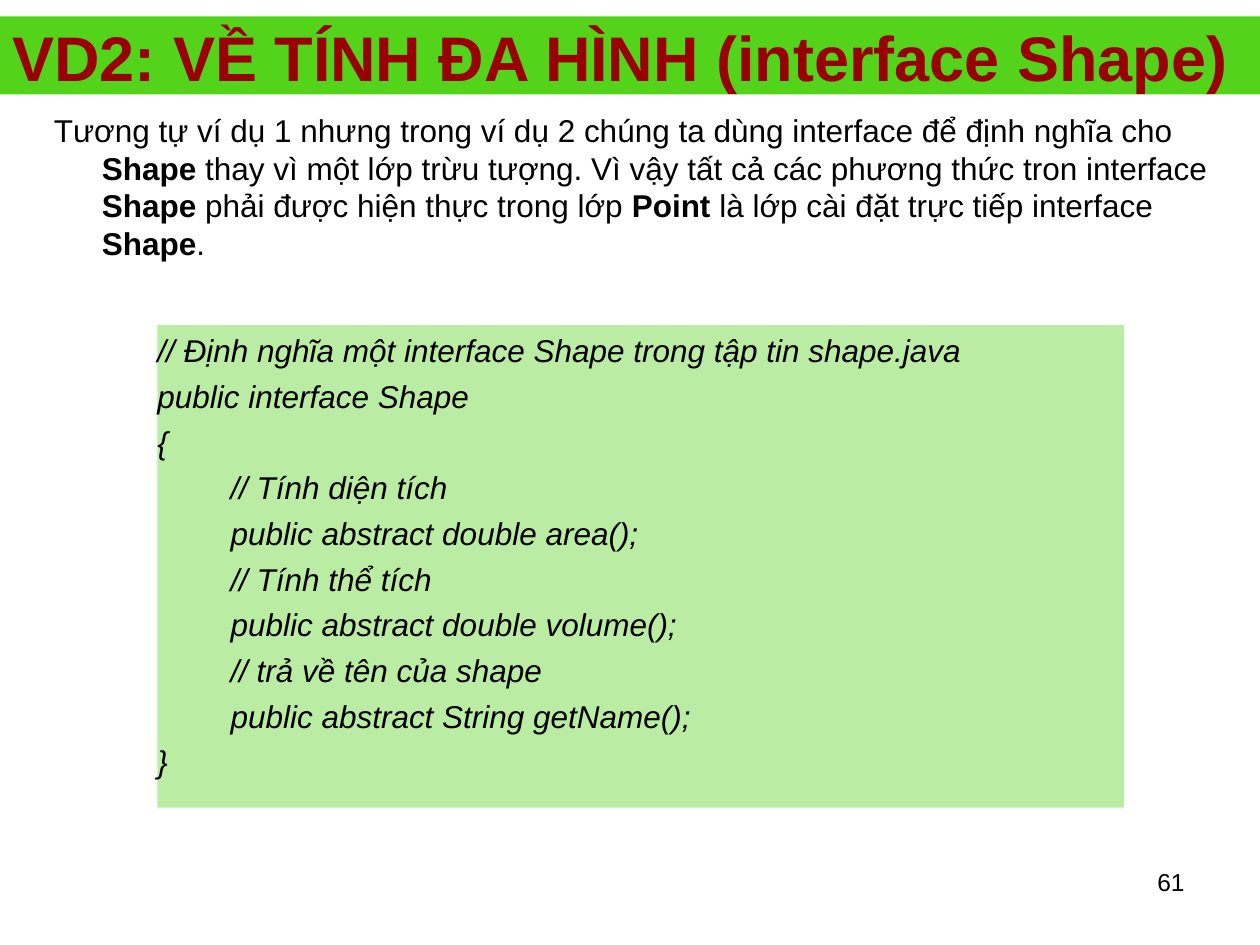
from dataclasses import dataclass

from lxml.etree import SubElement
from pptx import Presentation
from pptx.dml.color import RGBColor
from pptx.enum.shapes import MSO_SHAPE
from pptx.enum.text import MSO_ANCHOR, PP_ALIGN
from pptx.oxml.ns import qn
from pptx.util import Inches, Pt


@dataclass(frozen=True)
class Theme:
    font: str = "Arial"
    green: RGBColor = RGBColor(0x53, 0xD4, 0x1B)
    title_red: RGBColor = RGBColor(0x99, 0x00, 0x00)
    ink: RGBColor = RGBColor(0x00, 0x00, 0x00)
    title_size: int = 36
    body_size: int = 18
    number_size: int = 14
    paragraph_gap: float = 4.5


class SlideBuilder:
    def __init__(self, slide, theme):
        self.slide = slide
        self.theme = theme

    def panel(self, left, top, width, height, opacity=100):
        panel = self.slide.shapes.add_shape(
            MSO_SHAPE.RECTANGLE, Inches(left), Inches(top), Inches(width), Inches(height))
        panel.shadow.inherit = False
        panel.line.fill.background()
        panel.fill.solid()
        panel.fill.fore_color.rgb = self.theme.green
        if opacity < 100:
            color = panel._element.spPr.find(qn("a:solidFill"))[0]
            SubElement(color, qn("a:alpha"), val=str(opacity * 1000))
        return panel

    def text_box(self, left, top, width, height):
        return self.slide.shapes.add_textbox(
            Inches(left), Inches(top), Inches(width), Inches(height))

    def add_text(self, shape, paragraphs, size, color=None, align=PP_ALIGN.LEFT,
                 anchor=MSO_ANCHOR.TOP, hanging=0, italic=False):
        """Fill a shape with paragraphs, each a list of (text, bold) runs."""
        frame = shape.text_frame
        frame.word_wrap = True
        frame.vertical_anchor = anchor
        for index, runs in enumerate(paragraphs):
            paragraph = frame.paragraphs[0] if index == 0 else frame.add_paragraph()
            paragraph.alignment = align
            if index:
                paragraph.space_before = Pt(self.theme.paragraph_gap)
            if hanging:
                properties = paragraph._p.get_or_add_pPr()
                properties.set("marL", str(Inches(hanging)))
                properties.set("indent", str(-Inches(hanging)))
            for text, bold in runs:
                run = paragraph.add_run()
                run.text = text
                run.font.name = self.theme.font
                run.font.size = Pt(size)
                run.font.bold = bold
                run.font.italic = italic
                run.font.color.rgb = color or self.theme.ink


INTRO = [
    ("Tương tự ví dụ 1 nhưng trong ví dụ 2 chúng ta dùng interface để định nghĩa cho ", False),
    ("Shape ", True),
    ("thay vì một lớp trừu tượng. Vì vậy tất cả các phương thức tron interface ", False),
    ("Shape ", True),
    ("phải được hiện thực trong lớp ", False),
    ("Point ", True),
    ("là lớp cài đặt trực tiếp interface ", False),
    ("Shape", True),
    (".", False),
]

CODE = """// Định nghĩa một interface Shape trong tập tin shape.java
public interface Shape
{
\t// Tính diện tích
\tpublic abstract double area();
\t// Tính thể tích
\tpublic abstract double volume();
\t// trả về tên của shape
\tpublic abstract String getName();
}"""


def main():
    presentation = Presentation()
    presentation.slide_width = Inches(10)
    presentation.slide_height = Inches(7.5)
    theme = Theme()
    builder = SlideBuilder(
        presentation.slides.add_slide(presentation.slide_layouts[6]), theme)

    page_number = builder.text_box(7.17, 6.83, 2.33, 0.52)
    builder.add_text(page_number, [[("61", False)]], theme.number_size, align=PP_ALIGN.RIGHT)

    builder.panel(0, 0.13, 10, 0.62)
    title = builder.text_box(0, 0.24, 10, 0.42)
    builder.add_text(title, [[("VD2: VỀ TÍNH ĐA HÌNH (interface Shape)", True)]],
                     theme.title_size, theme.title_red, anchor=MSO_ANCHOR.MIDDLE)

    intro = builder.text_box(0.33, 0.83, 9.42, 1.25)
    builder.add_text(intro, [INTRO], theme.body_size, hanging=0.38)

    listing = builder.panel(1.25, 2.58, 7.67, 3.83, opacity=40)
    listing.text_frame.margin_left = 0
    builder.add_text(listing, [[(line, False)] for line in CODE.splitlines()],
                     theme.body_size, hanging=0.58, italic=True)

    presentation.save("out.pptx")


if __name__ == "__main__":
    main()
